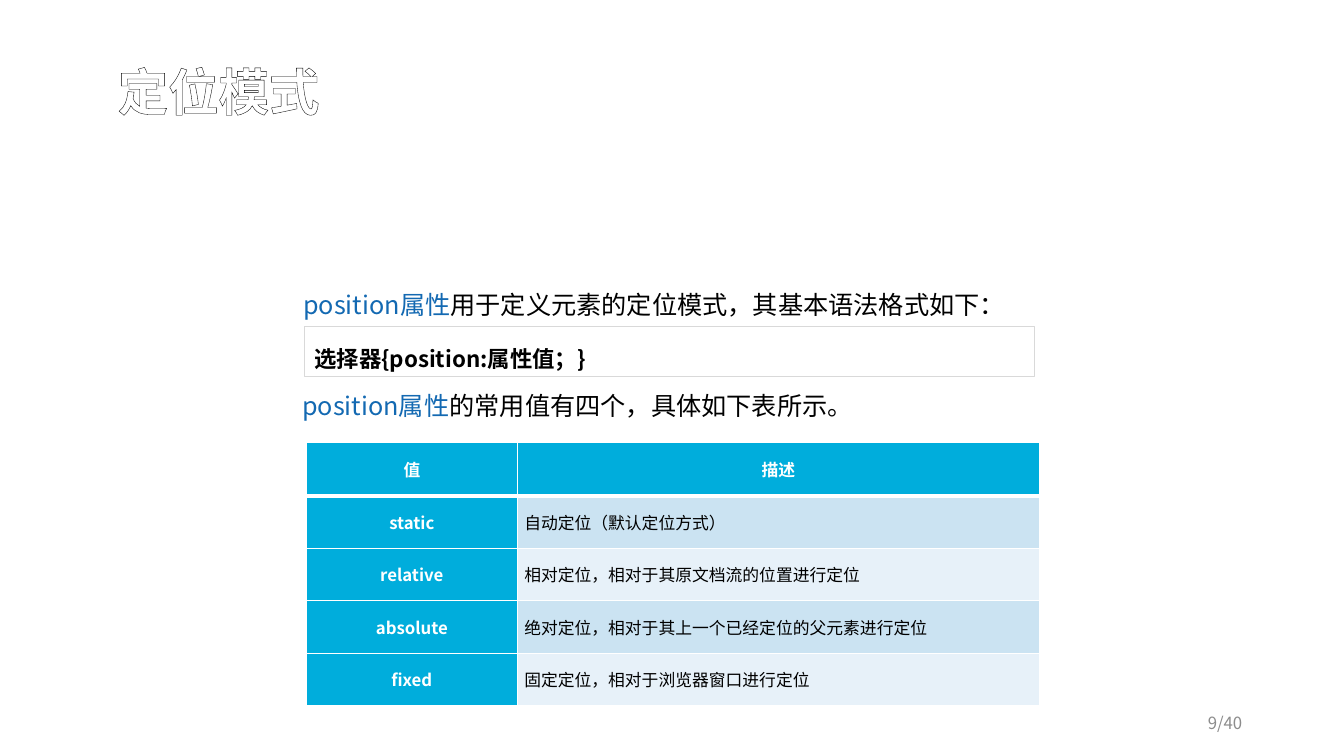
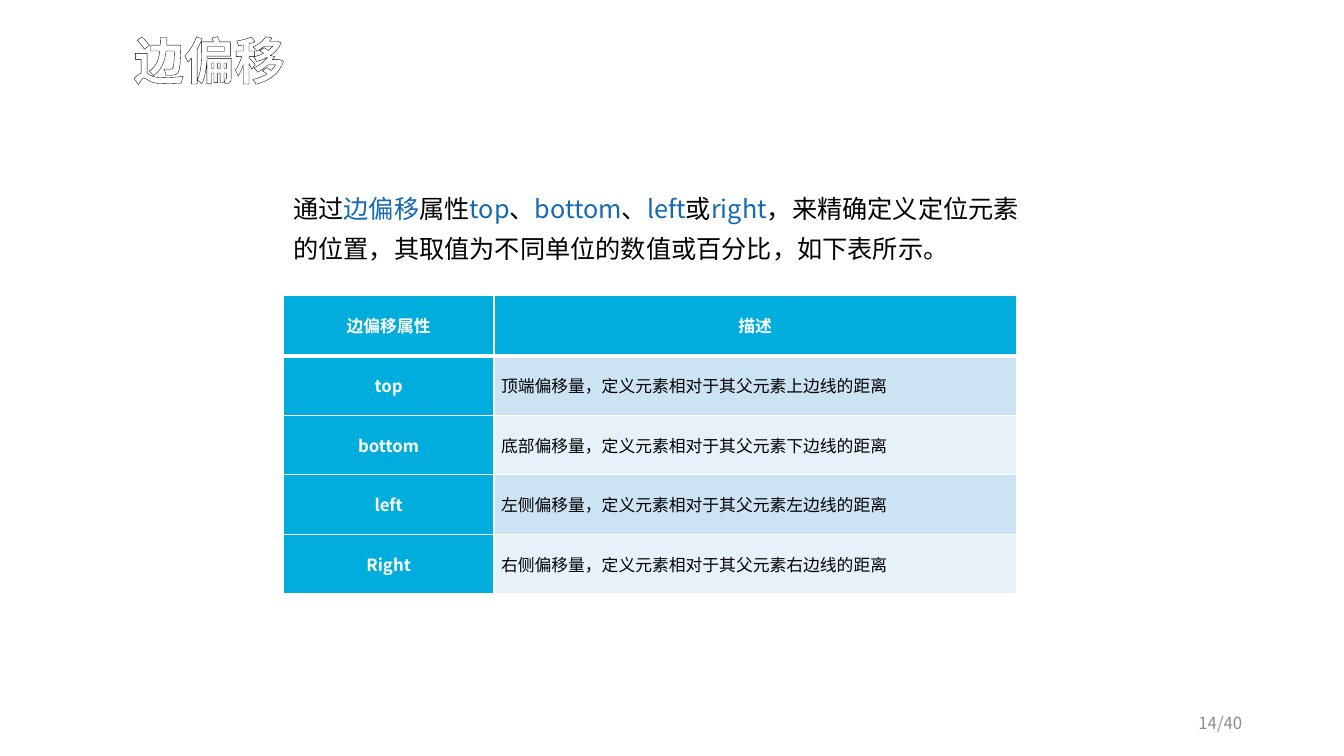
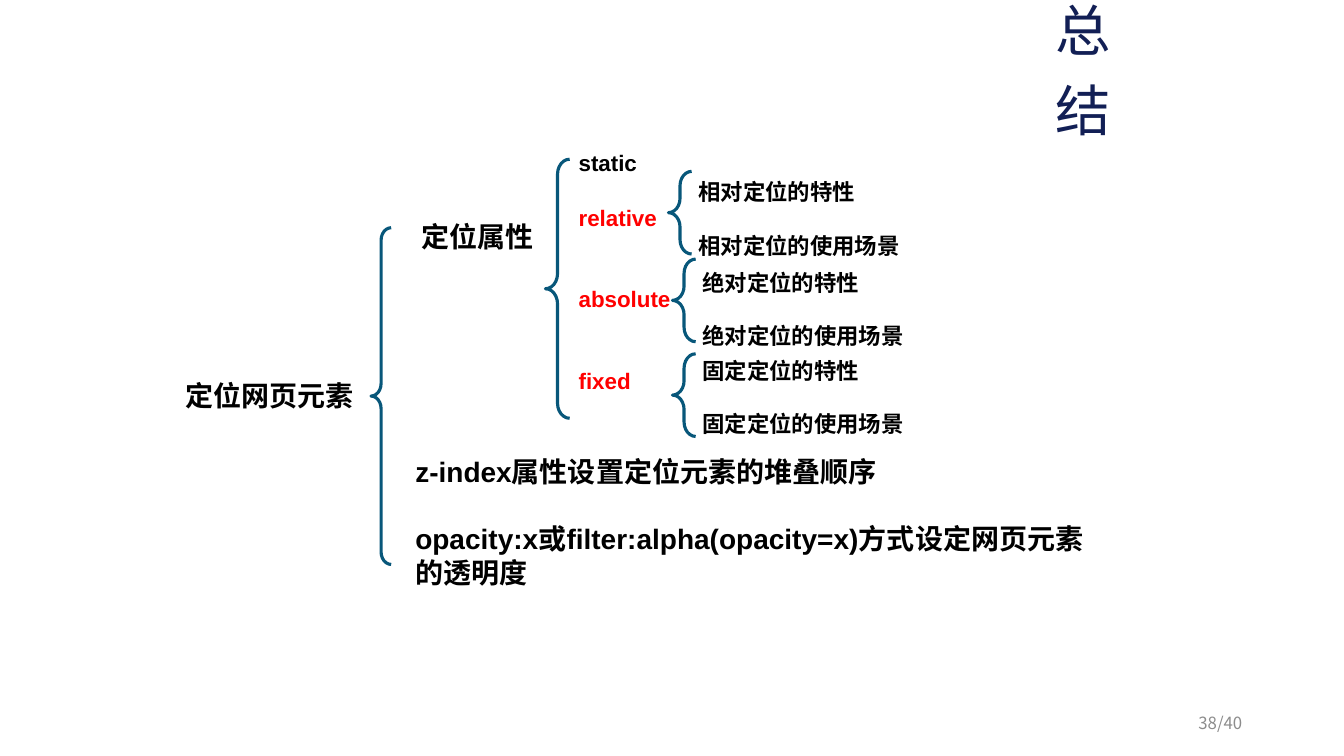
from lxml.etree import SubElement
from pptx import Presentation
from pptx.dml.color import RGBColor
from pptx.enum.shapes import MSO_SHAPE as Shape
from pptx.enum.text import MSO_ANCHOR as Anchor, PP_ALIGN as Align
from pptx.oxml import parse_xml
from pptx.oxml.ns import nsdecls, qn
from pptx.util import Pt

PX = 9144  # one hundred px to the inch
SANS, ARIAL = "Noto Sans CJK SC", "Arial"
BLACK, WHITE, RED = "000000", "FFFFFF", "FF0000"
LINK, HEAD, BRACE, NAVY, GREY = "1369B2", "00ADDC", "08577A", "121F55", "8C8C8C"
RULE, BANDS = "D9D9D9", ("CBE3F2", "E7F1F9")
COLUMNS = (209, 518)
FOOTER_BOX = (942, 695, 300, 40)
TOTAL_PAGES = 40


def px(*lengths):
    return [length * PX for length in lengths]


def rgb(value):
    return RGBColor.from_string(value)


def add_run(paragraph, text, size, color=BLACK, font=SANS, bold=False):
    run = paragraph.add_run()
    run.text = text
    run.font.size = Pt(size)
    run.font.bold = bold
    run.font.color.rgb = rgb(color)
    run.font.name = font
    SubElement(run.font._element, qn("a:ea")).set("typeface", font)
    return run


def outline(run):
    run.font._element.insert(0, parse_xml(
        f'<a:ln {nsdecls("a")} w="10160"><a:solidFill>'
        f'<a:srgbClr val="{BLACK}"/></a:solidFill></a:ln>'))


def write(frame, paragraphs, size, font=SANS, bold=False, align=Align.LEFT,
          spacing=None, anchor=Anchor.TOP):
    """Fill a frame; each paragraph is (space before, [(text, color), ...])."""
    frame.word_wrap = True
    frame.vertical_anchor = anchor
    for index, (gap, runs) in enumerate(paragraphs):
        paragraph = frame.add_paragraph() if index else frame.paragraphs[0]
        paragraph.alignment = align
        if spacing:
            paragraph.line_spacing = spacing
        if gap:
            paragraph.space_before = Pt(gap)
        for text, color in runs:
            add_run(paragraph, text, size, color, font, bold)
    return frame


def add_text(slide, box, paragraphs, size, **style):
    frame = slide.shapes.add_textbox(*px(*box)).text_frame
    return write(frame, paragraphs, size, **style)


def add_panel(slide, box, line):
    panel = slide.shapes.add_shape(Shape.RECTANGLE, *px(*box))
    panel.shadow.inherit = False
    panel.fill.solid()
    panel.fill.fore_color.rgb = rgb(WHITE)
    panel.line.color.rgb = rgb(line)
    panel.line.width = Pt(0.75)
    return panel.text_frame


def add_heading(frame, text, align=Align.LEFT):
    write(frame, [(0, [(text, WHITE)])], 36, bold=True, align=align)
    outline(frame.paragraphs[0].runs[0])


def add_page_number(slide, number):
    add_text(slide, FOOTER_BOX, [(0, [(f"{number}/{TOTAL_PAGES}", GREY)])], 12,
             align=Align.RIGHT, spacing=1.2, anchor=Anchor.MIDDLE)


def add_brace(slide, box):
    brace = slide.shapes.add_shape(Shape.LEFT_BRACE, *px(*box))
    brace.shadow.inherit = False
    brace.adjustments[0] = 0.62
    brace.fill.background()
    brace.line.color.rgb = rgb(BRACE)
    brace.line.width = Pt(2.25)


def set_borders(cell, top, bottom):
    for side, width in (("L", 1), ("R", 1), ("T", top), ("B", bottom)):
        cell._tc.get_or_add_tcPr().append(parse_xml(
            f'<a:ln{side} {nsdecls("a")} w="{Pt(width)}"><a:solidFill>'
            f'<a:srgbClr val="{WHITE}"/></a:solidFill></a:ln{side}>'))


def add_value_table(slide, left, top, head_height, row_height, rows):
    """Two columns: names on the heading colour, descriptions on bands."""
    heights = [head_height] + [row_height] * (len(rows) - 1)
    table = slide.shapes.add_table(
        len(rows), 2, *px(left, top, sum(COLUMNS), sum(heights))).table
    table.first_row = table.horz_banding = False
    for column, width in zip(table.columns, COLUMNS):
        column.width = width * PX
    for r, texts in enumerate(rows):
        table.rows[r].height = heights[r] * PX
        for c, text in enumerate(texts):
            cell = table.cell(r, c)
            is_label = r == 0 or c == 0
            set_borders(cell, 3 if r == 1 else 1, 3 if r == 0 else 1)
            cell.fill.solid()
            cell.fill.fore_color.rgb = rgb(HEAD if is_label else BANDS[(r - 1) % 2])
            cell.margin_left = cell.margin_right = 7 * PX
            cell.margin_top = cell.margin_bottom = 0
            cell.vertical_anchor = Anchor.MIDDLE
            paragraph = cell.text_frame.paragraphs[0]
            paragraph.alignment = Align.CENTER if is_label else Align.LEFT
            add_run(paragraph, text, 12, WHITE if is_label else BLACK, bold=is_label)


def build_position_modes(slide):
    syntax = add_panel(slide, (302, 324, 724, 50), RULE)
    write(syntax, [(0, [("选择器{position:属性值；}", BLACK)])], 16,
          bold=True, spacing=1.5)
    add_text(slide, (291, 267, 759, 55), [(0, [
        ("position属性", LINK),
        ("用于定义元素的定位模式，其基本语法格式如下：", BLACK)])], 18, spacing=1.5)
    add_text(slide, (290, 382, 724, 40), [(0, [
        ("position属性", LINK),
        ("的常用值有四个，具体如下表所示。", BLACK)])], 18)
    add_value_table(slide, 304, 439, 53, 52, [
        ("值", "描述"),
        ("static", "自动定位（默认定位方式）"),
        ("relative", "相对定位，相对于其原文档流的位置进行定位"),
        ("absolute", "绝对定位，相对于其上一个已经定位的父元素进行定位"),
        ("fixed", "固定定位，相对于浏览器窗口进行定位")])
    add_heading(add_panel(slide, (107, 55, 463, 97), WHITE), "定位模式")


def build_edge_offsets(slide):
    heading = slide.shapes.add_textbox(*px(57, 24, 301, 97)).text_frame
    add_heading(heading, "边偏移", Align.CENTER)
    add_text(slide, (281, 176, 750, 92), [(0, [
        ("通过", BLACK), ("边偏移", LINK), ("属性", BLACK), ("top", LINK),
        ("、", BLACK), ("bottom", LINK), ("、", BLACK), ("left", LINK),
        ("或", BLACK), ("right", LINK),
        ("，来精确定义定位元素的位置，其取值为不同单位的数值或百分比，如下表所示。", BLACK),
    ])], 18, spacing=1.35)
    offsets = [("top", "顶端", "上"), ("bottom", "底部", "下"),
               ("left", "左侧", "左"), ("Right", "右侧", "右")]
    add_value_table(slide, 281, 293, 60, 59, [("边偏移属性", "描述")] + [
        (name, f"{side}偏移量，定义元素相对于其父元素{edge}边线的距离")
        for name, side, edge in offsets])


def add_detail_pair(slide, mode, brace_left, brace_top, text_top):
    add_brace(slide, (brace_left, brace_top, 23, 82))
    add_text(slide, (brace_left + 20, text_top, 236, 91), [
        (0, [(f"{mode}定位的特性", BLACK)]),
        (19, [(f"{mode}定位的使用场景", BLACK)])], 16, font=ARIAL, bold=True)


def build_summary(slide):
    strong = {"font": ARIAL, "bold": True}
    add_text(slide, (1037, 30, 106, 64), [(0, [("总结", NAVY)])], 39.6,
             font=ARIAL, spacing=1.2, anchor=Anchor.MIDDLE)
    add_text(slide, (167, 371, 201, 44), [(0, [("定位网页元素", BLACK)])], 20,
             align=Align.CENTER, **strong)
    add_brace(slide, (368, 226, 20, 334))
    add_text(slide, (408, 213, 140, 44), [(0, [("定位属性", BLACK)])], 20, **strong)
    add_text(slide, (402, 446, 698, 147), [
        (0, [("z-index属性设置定位元素的堆叠顺序", BLACK)]),
        (24, [("opacity:x或filter:alpha(opacity=x)方式设定网页元素的透明度", BLACK)]),
    ], 20, **strong)
    add_brace(slide, (541, 158, 24, 257))
    add_text(slide, (564, 143, 118, 279), [
        (0, [("static", BLACK)]), (20, [("relative", RED)]),
        (39, [("absolute", RED)]), (39, [("fixed", RED)])], 16, **strong)
    add_detail_pair(slide, "相对", 663, 170, 172)
    add_detail_pair(slide, "绝对", 667, 257, 262)
    add_detail_pair(slide, "固定", 667, 351, 349)


def main():
    deck = Presentation()
    deck.slide_width, deck.slide_height = px(1333, 750)
    blank = deck.slide_layouts[6]
    pages = ((build_position_modes, 9), (build_edge_offsets, 14), (build_summary, 38))
    for build, number in pages:
        slide = deck.slides.add_slide(blank)
        build(slide)
        add_page_number(slide, number)
    deck.save("out.pptx")


if __name__ == "__main__":
    main()
